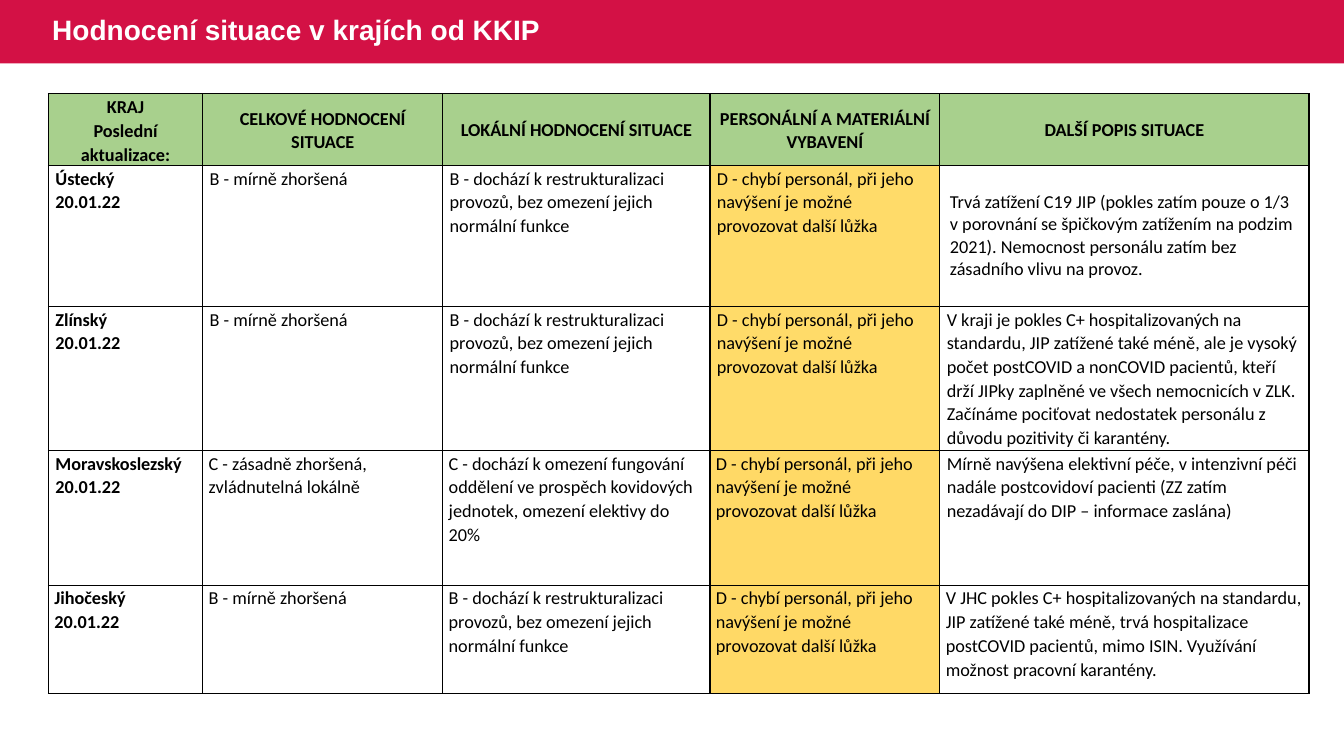
"""Build a slide with a table that rates the situation in the regions."""
from lxml.etree import SubElement
from pptx import Presentation
from pptx.dml.color import RGBColor
from pptx.enum.shapes import MSO_SHAPE
from pptx.enum.text import MSO_ANCHOR, PP_ALIGN
from pptx.oxml.ns import qn
from pptx.util import Inches, Pt

WIDTH, HEIGHT = Inches(13.33), Inches(7.5)
CRIMSON, GREEN, WHITE, BLACK = "D31145", "A8D08D", "FFFFFF", "000000"
AMBER, DEEP_AMBER = "FFDB69", "FFD966"
COLUMN_WEIGHTS = [1.53, 2.38, 2.65, 2.28, 3.66]
ROW_WEIGHTS = [0.71, 1.4, 1.43, 1.34, 1.08]

MILD = "B - mírně zhoršená"
RESTRUCTURED = "B - dochází k restrukturalizaci provozů, bez omezení jejich normální funkce"
SHORT_STAFF = "D - chybí personál, při jeho navýšení je možné provozovat další lůžka"
DATE = "20.01.22"
HEADERS = ["KRAJ\nPoslední aktualizace:", "CELKOVÉ HODNOCENÍ SITUACE",
           "LOKÁLNÍ HODNOCENÍ SITUACE", "PERSONÁLNÍ A MATERIÁLNÍ VYBAVENÍ",
           "DALŠÍ POPIS SITUACE"]
REGIONS = [
    ("Ústecký", MILD, RESTRUCTURED,
     "Trvá zatížení C19 JIP (pokles zatím pouze o 1/3 v porovnání se špičkovým "
     "zatížením na podzim 2021). Nemocnost personálu zatím bez zásadního vlivu na provoz."),
    ("Zlínský", MILD, RESTRUCTURED,
     "V kraji je pokles C+ hospitalizovaných na standardu, JIP zatížené také méně, ale je "
     "vysoký počet postCOVID a nonCOVID pacientů, kteří drží JIPky zaplněné ve všech "
     "nemocnicích v ZLK. Začínáme pociťovat nedostatek personálu z důvodu pozitivity "
     "či karantény."),
    ("Moravskoslezský", "C - zásadně zhoršená, zvládnutelná lokálně",
     "C - dochází k omezení fungování oddělení ve prospěch kovidových jednotek, "
     "omezení elektivy do 20%",
     "Mírně navýšena elektivní péče, v intenzivní péči nadále postcovidoví pacienti "
     "(ZZ zatím nezadávají do DIP – informace zaslána)"),
    ("Jihočeský", MILD, RESTRUCTURED,
     "V JHC pokles C+ hospitalizovaných na standardu, JIP zatížené také méně, trvá "
     "hospitalizace postCOVID pacientů, mimo ISIN. Využívání možnost pracovní karantény."),
]


def color(hex_text):
    """Turn a hex string into a colour."""
    return RGBColor.from_string(hex_text)


def style_text(tf, font, size, hex_text, bold, spacing, align):
    """Format every paragraph and run of a text frame."""
    for p in tf.paragraphs:
        p.line_spacing = spacing
        p.alignment = align
        for r in p.runs:
            r.font.name, r.font.size, r.font.bold = font, Pt(size), bold
            r.font.color.rgb = color(hex_text)


def add_banner(s, left, top, width, height):
    """Draw the title band with its heading."""
    band = s.shapes.add_shape(MSO_SHAPE.RECTANGLE, left, top, width, height)
    band.shadow.inherit = False
    band.fill.solid()
    band.fill.fore_color.rgb = color(CRIMSON)
    band.line.fill.background()
    sp = s.shapes.add_textbox(left + int(width * 0.0315), top, int(width * 0.45), height)
    tf = sp.text_frame
    tf.word_wrap = True
    tf.vertical_anchor = MSO_ANCHOR.MIDDLE
    tf.text = "Hodnocení situace v krajích od KKIP"
    style_text(tf, "Arial", 20, WHITE, True, 0.9, PP_ALIGN.LEFT)


def add_borders(cell):
    """Give a cell a thin black line on each side."""
    props = cell._tc.get_or_add_tcPr()
    for side in ("a:lnL", "a:lnR", "a:lnT", "a:lnB"):
        line = SubElement(props, qn(side), w=str(Pt(1)))
        SubElement(SubElement(line, qn("a:solidFill")), qn("a:srgbClr"), val=BLACK)


def fill_cell(cell, text, fill, bold=False, header=False, roomy=False, inset=0.07):
    """Write and format one table cell."""
    add_borders(cell)
    if fill:
        cell.fill.solid()
        cell.fill.fore_color.rgb = color(fill)
    else:
        cell.fill.background()
    cell.margin_left = cell.margin_right = Inches(0.1 if roomy else inset)
    cell.margin_top = Inches(0.08 if roomy else 0.01)
    cell.margin_bottom = Inches(0.08 if roomy else 0)
    cell.vertical_anchor = MSO_ANCHOR.MIDDLE if header or roomy else MSO_ANCHOR.TOP
    cell.text_frame.text = text
    style_text(cell.text_frame, "Calibri", 13, BLACK, bold, 1.0 if roomy else 1.07,
               PP_ALIGN.CENTER if header else PP_ALIGN.LEFT)


def add_region_table(s, left, top, width, height):
    """Place the table of regions in the given box."""
    table = s.shapes.add_table(len(ROW_WEIGHTS), len(COLUMN_WEIGHTS),
                               left, top, width, height).table
    table.first_row = table.horz_banding = False
    for column, weight in zip(table.columns, COLUMN_WEIGHTS):
        column.width = int(width * weight / sum(COLUMN_WEIGHTS))
    for row, weight in zip(table.rows, ROW_WEIGHTS):
        row.height = int(height * weight / sum(ROW_WEIGHTS))
    for col, text in enumerate(HEADERS):
        fill_cell(table.cell(0, col), text, GREEN, bold=True, header=True)
    for row, (name, overall, local, details) in enumerate(REGIONS, 1):
        texts = [f"{name}\n{DATE}", overall, local, SHORT_STAFF, details]
        fills = [None, WHITE, WHITE, AMBER if row < 3 else DEEP_AMBER, None]
        for col, (text, fill) in enumerate(zip(texts, fills)):
            narrow = row == 4 or (row == 3 and 0 < col < 4)
            fill_cell(table.cell(row, col), text, fill, bold=col == 0,
                      roomy=(row, col) == (1, 4), inset=0.06 if narrow else 0.07)


def main():
    """Build and save the presentation."""
    prs = Presentation()
    prs.slide_width, prs.slide_height = WIDTH, HEIGHT
    s = prs.slides.add_slide(prs.slide_layouts[6])
    add_banner(s, 0, 0, WIDTH, int(HEIGHT * 0.084))
    add_region_table(s, int(WIDTH * 0.036), int(HEIGHT * 0.124),
                     int(WIDTH * 0.938), int(HEIGHT * 0.794))
    prs.save("out.pptx")


if __name__ == "__main__":
    main()
